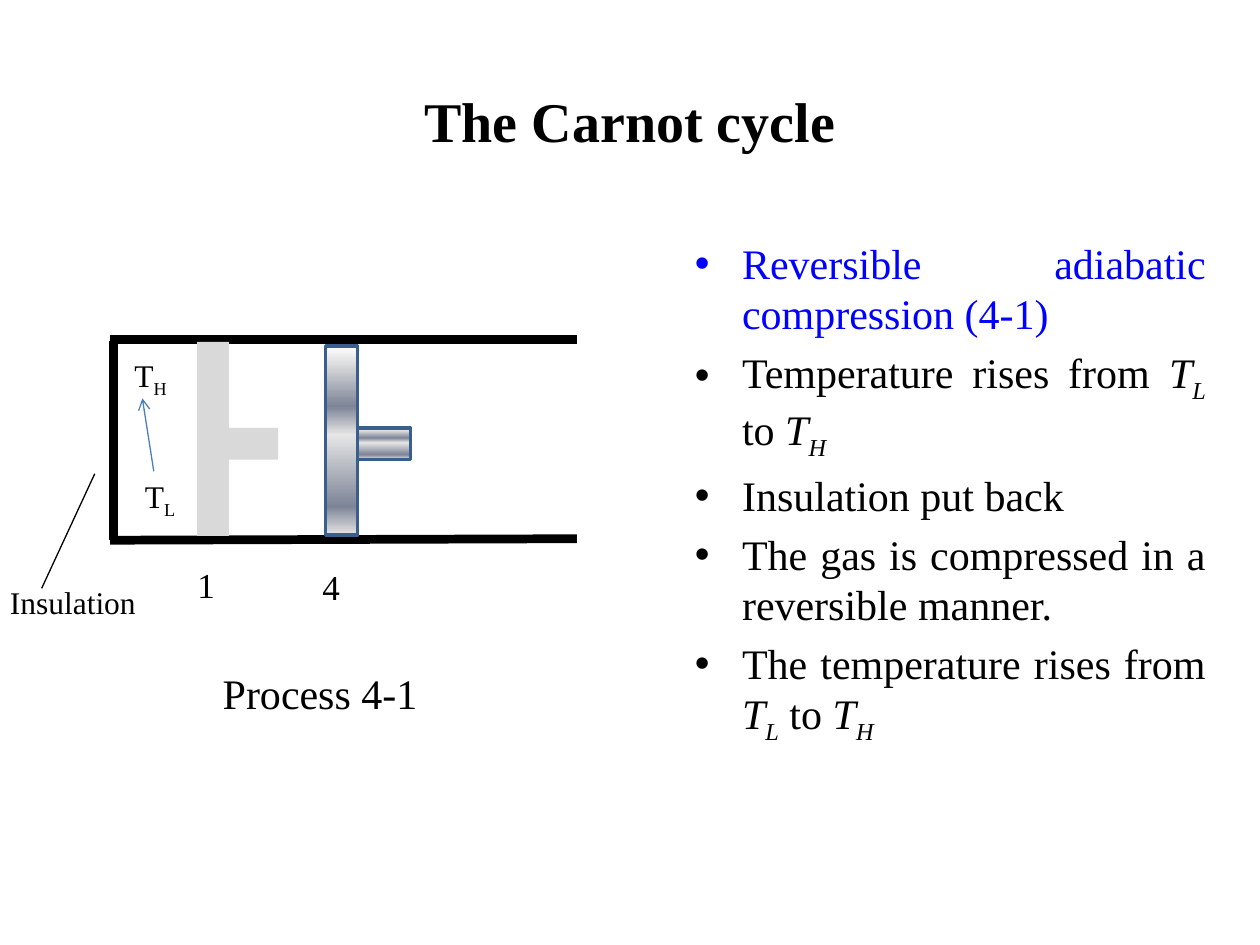
from lxml.etree import SubElement
from pptx import Presentation
from pptx.dml.color import RGBColor
from pptx.enum.shapes import MSO_CONNECTOR, MSO_SHAPE
from pptx.enum.text import MSO_ANCHOR, MSO_AUTO_SIZE, PP_ALIGN
from pptx.oxml import parse_xml
from pptx.oxml.ns import nsdecls, qn
from pptx.util import Cm, Pt

BLACK = RGBColor(0, 0, 0)
BLUE = RGBColor(0, 0, 255)
GREY = RGBColor(0xD9, 0xD9, 0xD9)
EDGE = RGBColor(0x3A, 0x5F, 0x8C)
ARROW = RGBColor(0x4B, 0x7E, 0xBC)

deck = Presentation()
deck.slide_width, deck.slide_height = Cm(25.4), Cm(19.05)
slide = deck.slides.add_slide(deck.slide_layouts[6])
shapes = slide.shapes


def write(para, runs, size, color=BLACK, bold=False):
    for text, style in runs:
        run = para.add_run()
        run.text = text
        font = run.font
        font.name, font.size, font.bold = "Times New Roman", Pt(size), bold
        font.color.rgb = color
        font.italic = "i" in style
        if "sub" in style:
            run._r.get_or_add_rPr().set("baseline", "-25000")


def draw(start, end, color, width):
    line = shapes.add_connector(MSO_CONNECTOR.STRAIGHT, *map(Cm, start + end))
    line.line.color.rgb = color
    line.line.width = Pt(width)
    SubElement(line._element.spPr, qn("a:effectLst"))
    return line


title = shapes.add_textbox(Cm(1.27), Cm(1.48), Cm(22.86), Cm(1.9)).text_frame
title.word_wrap = True
title.vertical_anchor = MSO_ANCHOR.MIDDLE
title.paragraphs[0].alignment = PP_ALIGN.CENTER
write(title.paragraphs[0], [("The Carnot cycle", "")], 32, bold=True)

low_high = [("T", "i"), ("L", "i sub"), (" to ", ""), ("T", "i"), ("H", "i sub")]
points = [
    ([("Reversible adiabatic compression (4-1)", "")], BLUE),
    ([("Temperature rises from ", "")] + low_high, BLACK),
    ([("Insulation put back", "")], BLACK),
    ([("The gas is compressed in a reversible manner.", "")], BLACK),
    ([("The temperature rises from ", "")] + low_high, BLACK),
]
body = shapes.add_textbox(Cm(13.76), Cm(4.66), Cm(10.8), Cm(11.64)).text_frame
body.word_wrap = True
for num, (runs, color) in enumerate(points):
    para = body.add_paragraph() if num else body.paragraphs[0]
    props = para._p.get_or_add_pPr()
    props.set("marL", str(Cm(0.95)))
    props.set("indent", str(-Cm(0.95)))
    SubElement(props, qn("a:buFont")).set("typeface", "Arial")
    SubElement(props, qn("a:buChar")).set("char", "•")
    para.alignment = PP_ALIGN.JUSTIFY
    if num:
        para.space_before = Pt(4.8)
    write(para, runs, 24, color)

for start, end in [
    ((11.63, 6.84), (2.22, 6.84)),
    ((11.63, 10.86), (2.22, 10.89)),
    ((2.29, 6.88), (2.29, 10.89)),
]:
    draw(start, end, BLACK, 5)

stops = [(0, "FFFFFF"), (7, "E6E6E6"), (32, "7D8496"),
         (47, "E6E6E6"), (85, "7D8496"), (100, "E6E6E6")]
marks = "".join(
    f'<a:gs pos="{pos * 1000}"><a:srgbClr val="{tone}"/></a:gs>' for pos, tone in stops
)
metal = (f'<a:gradFill {nsdecls("a")} rotWithShape="1"><a:gsLst>{marks}</a:gsLst>'
         '<a:lin ang="0" scaled="0"/></a:gradFill>')

for left, top, width, height, solid in [
    (4.98, 8.56, 3.81, 0.64, False),
    (7.42, 8.41, 0.64, 1.07, False),
    (2.34, 8.53, 3.91, 0.64, True),
    (4.75, 8.41, 0.64, 1.07, True),
]:
    part = shapes.add_shape(MSO_SHAPE.RECTANGLE, Cm(left), Cm(top), Cm(width), Cm(height))
    part.rotation = 90
    part.shadow.inherit = False
    if solid:
        part.fill.solid()
        part.fill.fore_color.rgb = GREY
        part.line.fill.background()
    else:
        part._element.spPr.find(qn("a:prstGeom")).addnext(parse_xml(metal))
        part.line.color.rgb = EDGE
        part.line.width = Pt(2)

for left, top, width, height, size, wrap, runs in [
    (2.46, 7.06, 1.47, 1.02, 18, True, [("T", ""), ("H", "sub")]),
    (3.73, 11.23, 1.07, 1.12, 20, True, [("1", "")]),
    (6.25, 11.28, 1.07, 1.12, 20, True, [("4", "")]),
    (2.67, 9.5, 1.47, 1.02, 18, True, [("T", ""), ("L", "sub")]),
    (-0.05, 11.63, 3.07, 1.02, 18, False, [("Insulation", "")]),
    (4.24, 13.34, 4.47, 1.27, 24, False, [("Process 4-1", "")]),
]:
    frame = shapes.add_textbox(Cm(left), Cm(top), Cm(width), Cm(height)).text_frame
    frame.word_wrap = wrap
    frame.auto_size = MSO_AUTO_SIZE.SHAPE_TO_FIT_TEXT
    write(frame.paragraphs[0], runs, size)

rise = draw((3.1, 9.5), (2.87, 8.03), ARROW, 0.75)
rise.line._get_or_add_ln().append(parse_xml(f'<a:tailEnd {nsdecls("a")} type="arrow"/>'))
draw((1.91, 9.55), (0.84, 11.86), BLACK, 0.75)

deck.save("out.pptx")
